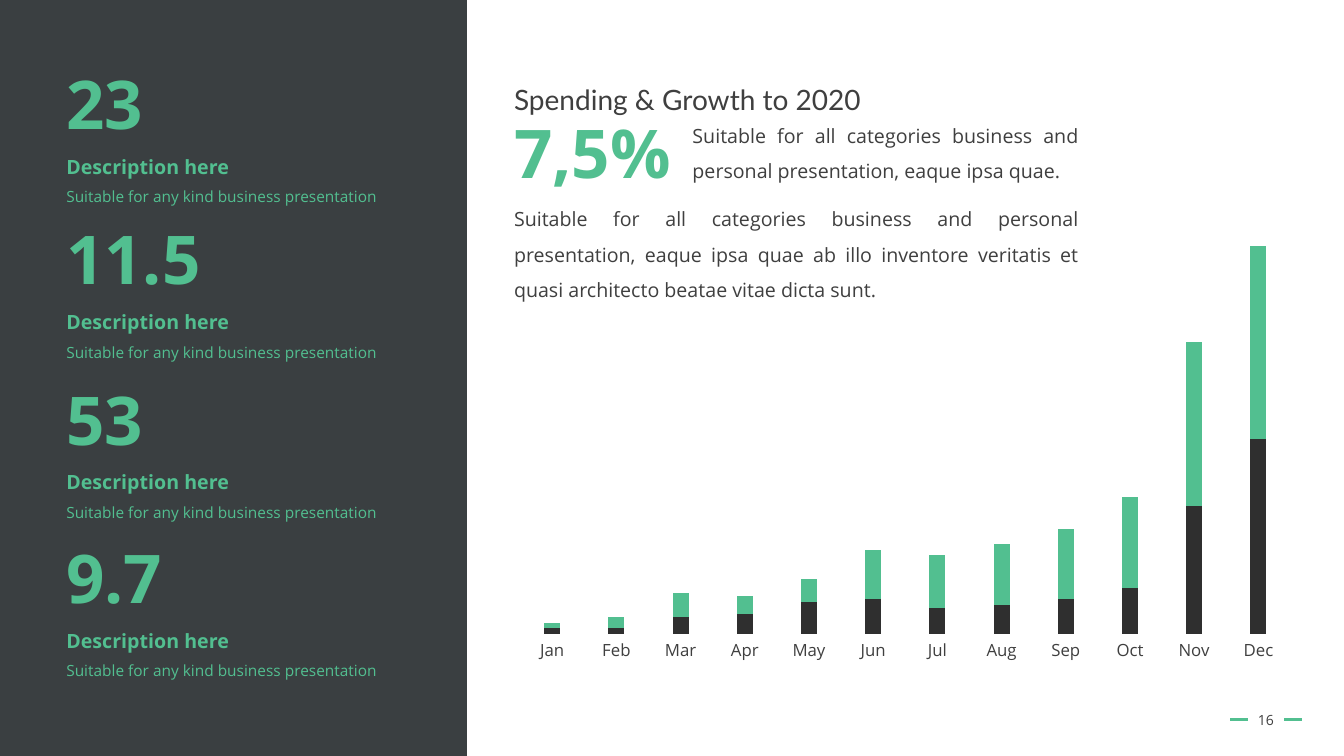
from dataclasses import dataclass

from lxml import etree
from pptx import Presentation
from pptx.chart.data import CategoryChartData
from pptx.dml.color import RGBColor
from pptx.enum.chart import XL_CHART_TYPE, XL_TICK_MARK
from pptx.enum.shapes import MSO_CONNECTOR, MSO_SHAPE
from pptx.enum.text import MSO_ANCHOR, MSO_AUTO_SIZE, PP_ALIGN
from pptx.oxml.ns import qn
from pptx.slide import Slide
from pptx.util import Inches, Pt

RECTANGLE = MSO_SHAPE.RECTANGLE
STRAIGHT = MSO_CONNECTOR.STRAIGHT
STACKED = XL_CHART_TYPE.COLUMN_STACKED
NO_TICKS = XL_TICK_MARK.NONE
GROW = MSO_AUTO_SIZE.SHAPE_TO_FIT_TEXT
TOP, MIDDLE = MSO_ANCHOR.TOP, MSO_ANCHOR.MIDDLE
LEFT, CENTER, JUSTIFY = PP_ALIGN.LEFT, PP_ALIGN.CENTER, PP_ALIGN.JUSTIFY

GREEN = RGBColor(0x52, 0xBF, 0x90)
GRAY = RGBColor(0x3F, 0x3F, 0x3F)
CHARCOAL = RGBColor(0x2F, 0x2F, 0x2F)
PANEL = RGBColor(0x18, 0x1E, 0x20)
BODY_FONT = "Open Sans"
TITLE_FONT = "Lato"

MONTHS = ("Jan", "Feb", "Mar", "Apr", "May", "Jun",
          "Jul", "Aug", "Sep", "Oct", "Nov", "Dec")
SERIES = (
    ("Series 1", CHARCOAL, (2, 2, 6, 7, 11, 12, 9, 10, 12, 16, 44, 67)),
    ("Series 2", GREEN, (2, 4, 8, 6, 8, 17, 18, 21, 24, 31, 56, 100)),
)
PLOT_AREA = {"x": 0.07, "y": 0.125, "w": 0.924, "h": 0.719}


@dataclass(frozen=True)
class Line:
    text: str
    size: float
    color: RGBColor = GRAY
    bold: bool = False
    font: str = BODY_FONT
    spacing: float = 1.5
    align: PP_ALIGN = JUSTIFY


@dataclass(frozen=True)
class TextBlock:
    left: float
    top: float
    width: float
    height: float
    lines: tuple[Line, ...]
    wrap: bool = True
    anchor: MSO_ANCHOR = TOP
    grow: bool = True


@dataclass(frozen=True)
class Figure:
    value: str
    top: float


FIGURES = (Figure("23", 0.57), Figure("11.5", 2.11), Figure("53", 3.7), Figure("9.7", 5.27))

TEXT_BLOCKS = (
    TextBlock(5, 0.6, 5.72, 0.55,
              (Line("Spending & Growth to 2020", 20, font=TITLE_FONT),)),
    TextBlock(5, 1.06, 1.77, 0.91,
              (Line("7,5%", 48, GREEN, True, spacing=1.0, align=LEFT),), wrap=False),
    TextBlock(6.77, 1.06, 4.03, 0.81,
              (Line("Suitable for all categories business and personal "
                    "presentation, eaque ipsa quae.", 14),)),
    TextBlock(5, 1.89, 5.8, 1.16,
              (Line("Suitable for all categories business and personal "
                    "presentation, eaque ipsa quae ab illo inventore veritatis et "
                    "quasi architecto beatae vitae dicta sunt.", 14),)),
    TextBlock(12.26, 6.94, 0.59, 0.4,
              (Line("16", 10, spacing=1.0, align=CENTER),), anchor=MIDDLE, grow=False),
)


def add_text(page: Slide, block: TextBlock) -> None:
    box = page.shapes.add_textbox(Inches(block.left), Inches(block.top),
                                  Inches(block.width), Inches(block.height))
    frame = box.text_frame
    frame.word_wrap = block.wrap
    frame.vertical_anchor = block.anchor
    if block.grow:
        frame.auto_size = GROW
    frame.text = "\n".join(line.text for line in block.lines)
    for para, line in zip(frame.paragraphs, block.lines):
        para.alignment = line.align
        para.line_spacing = line.spacing
        for span in para.runs:
            span.font.name = line.font
            span.font.size = Pt(line.size)
            span.font.bold = line.bold
            span.font.color.rgb = line.color


def add_figure(page: Slide, figure: Figure) -> None:
    """Add a large number with its heading and caption to the side panel."""
    lines = (
        Line(figure.value, 48, GREEN, True, spacing=1.0, align=LEFT),
        Line("Description here", 14, GREEN, True, align=LEFT),
        Line("Suitable for any kind business presentation", 11, GREEN, align=LEFT),
    )
    add_text(page, TextBlock(0.56, figure.top, 3.3, 1.54, lines, wrap=False))


def add_panel(page: Slide) -> None:
    panel = page.shapes.add_shape(RECTANGLE, Inches(-0.01), 0, Inches(4.64), Inches(7.5))
    panel.shadow.inherit = False
    panel.fill.solid()
    panel.fill.fore_color.rgb = PANEL
    color = panel.element.spPr.find(f"{qn('a:solidFill')}/{qn('a:srgbClr')}")
    etree.SubElement(color, qn("a:alpha"), val="85000")
    panel.line.fill.background()


def add_page_dash(page: Slide, start: float, end: float) -> None:
    dash = page.shapes.add_connector(STRAIGHT, Inches(start), Inches(7.14),
                                     Inches(end), Inches(7.14))
    dash.line.color.rgb = GREEN
    dash.line.width = Pt(1.75)
    etree.SubElement(dash.element.spPr, qn("a:effectLst"))


def add_spending_chart(page: Slide) -> None:
    data = CategoryChartData()
    data.categories = MONTHS
    for name, _, values in SERIES:
        data.add_series(name, values)
    chart = page.shapes.add_chart(STACKED, Inches(4.58), Inches(1.77),
                                  Inches(8.27), Inches(5.36), data).chart
    chart.has_legend = False
    chart.has_title = False
    chart.font.name = BODY_FONT
    chart.font.size = Pt(12)
    chart.font.color.rgb = GRAY

    plot = chart.plots[0]
    plot.gap_width = 300
    plot.overlap = 100
    plot.vary_by_categories = False
    for series, (_, color, _) in zip(plot.series, SERIES):
        series.format.fill.solid()
        series.format.fill.fore_color.rgb = color

    months = chart.category_axis
    months.major_tick_mark = NO_TICKS
    months.minor_tick_mark = NO_TICKS
    months.format.line.fill.background()
    amounts = chart.value_axis
    amounts.minimum_scale = 0
    amounts.maximum_scale = 133
    amounts.has_major_gridlines = False
    amounts.visible = False

    plot_area = chart.element.find(f".//{qn('c:plotArea')}")
    for automatic in plot_area.findall(qn("c:layout")):
        plot_area.remove(automatic)
    layout = etree.Element(qn("c:layout"))
    plot_area.insert(0, layout)
    manual = etree.SubElement(layout, qn("c:manualLayout"))
    etree.SubElement(manual, qn("c:layoutTarget"), val="inner")
    for side in ("x", "y"):
        etree.SubElement(manual, qn(f"c:{side}Mode"), val="edge")
    for side, share in PLOT_AREA.items():
        etree.SubElement(manual, qn(f"c:{side}"), val=str(share))


def main() -> None:
    deck = Presentation()
    deck.slide_width = Inches(13.33)
    deck.slide_height = Inches(7.5)
    page = deck.slides.add_slide(deck.slide_layouts[6])
    for start, end in ((12.2, 12.38), (12.74, 12.91)):
        add_page_dash(page, start, end)
    add_panel(page)
    add_spending_chart(page)
    for figure in FIGURES:
        add_figure(page, figure)
    for block in TEXT_BLOCKS:
        add_text(page, block)
    deck.save("out.pptx")


if __name__ == "__main__":
    main()
